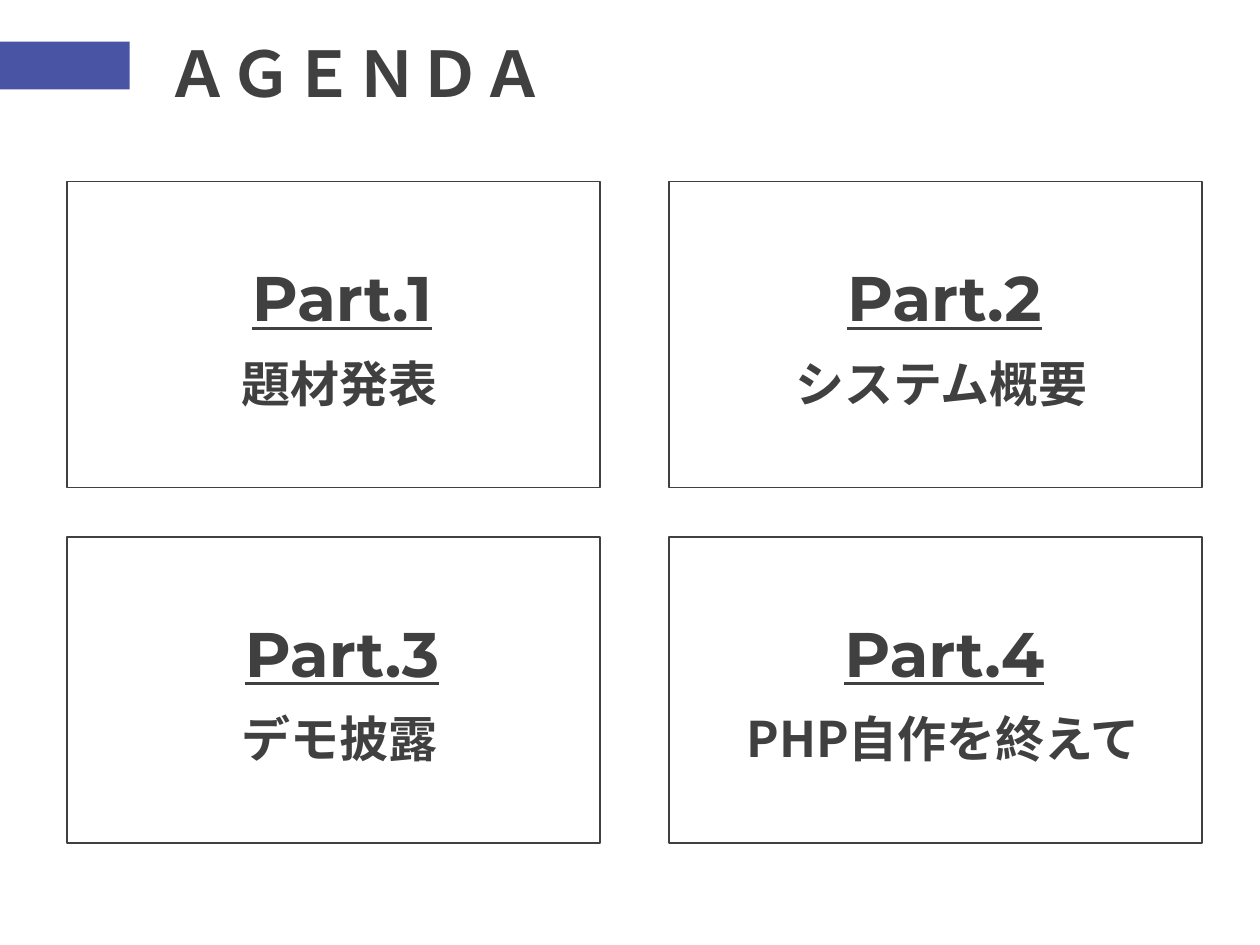
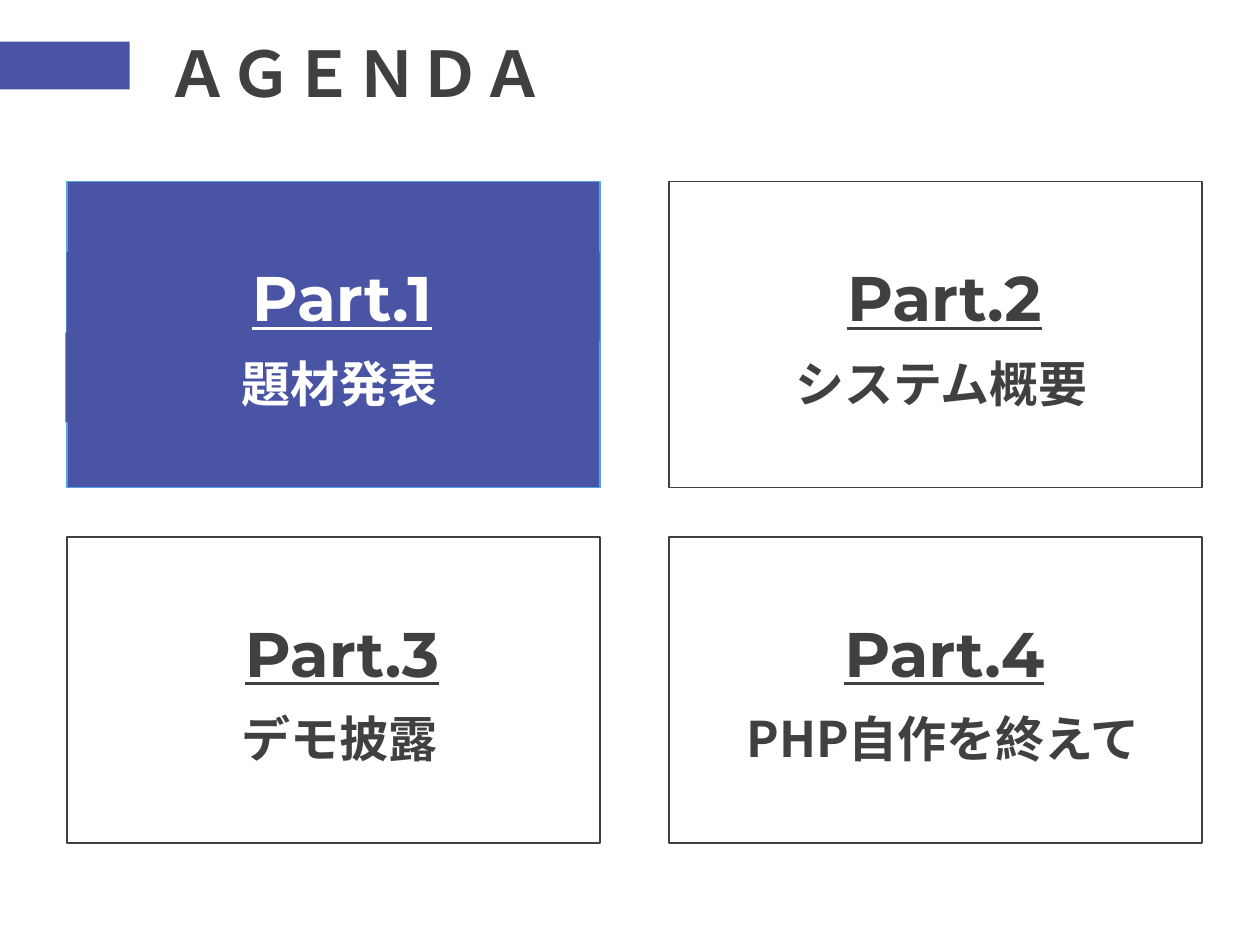
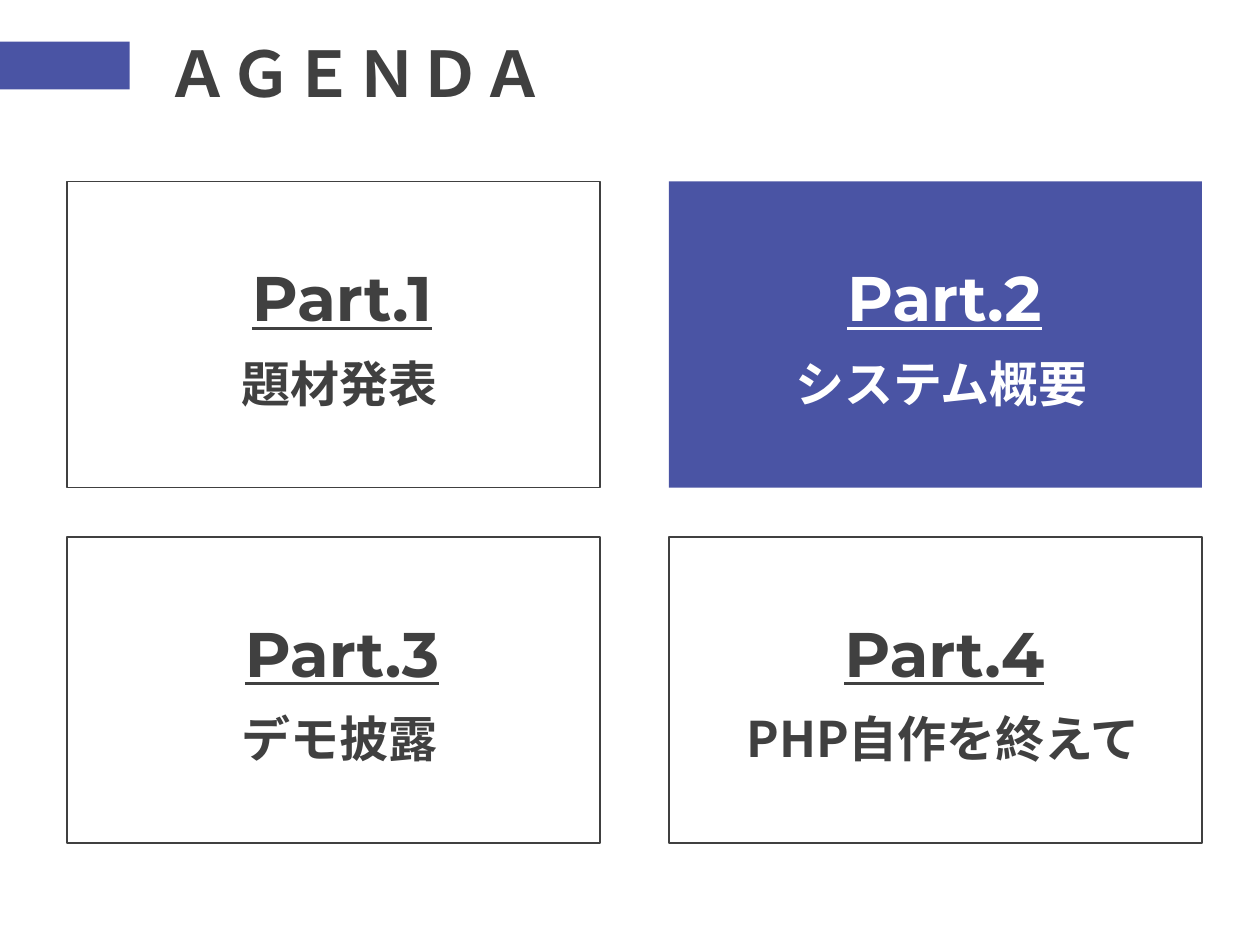
import dataclasses
import typing

import pptx
import pptx.dml.color
import pptx.enum.shapes
import pptx.enum.text
import pptx.oxml.ns
import pptx.shapes.autoshape
import pptx.shapes.group
import pptx.slide
import pptx.text.text
import pptx.util
from lxml import etree

RGBColor = pptx.dml.color.RGBColor
INDIGO = RGBColor(0x4A, 0x54, 0xA4)
SKY = RGBColor(0x52, 0xA4, 0xE8)
CHARCOAL = RGBColor(0x40, 0x40, 0x40)
WHITE = RGBColor(0xFF, 0xFF, 0xFF)

LATIN_FONT = "Montserrat"
JAPANESE_FONT = "Noto Sans CJK JP"
LARGE = pptx.util.Pt(36)
SMALL = pptx.util.Pt(28)

COLUMNS = 2
GRID_LEFT, GRID_TOP = 0.53, 1.44
COLUMN_STEP, ROW_STEP = 4.78, 2.82
CARD_WIDTH, CARD_HEIGHT = 4.23, 2.43
LABEL_HEIGHT = 0.71
NUMBER_DROP, TOPIC_DROP = 0.56, 1.2
TOPIC_SHIFT = -0.01

TITLE = "ＡＧＥＮＤＡ"
TOPICS = ["題材発表", "システム概要", "デモ披露", "PHP自作を終えて"]


class Area(typing.NamedTuple):
    left: float
    top: float
    width: float
    height: float

    def lengths(self) -> list[pptx.util.Inches]:
        return [pptx.util.Inches(value) for value in self]


@dataclasses.dataclass(frozen=True)
class CardStyle:
    ink: RGBColor
    fill: RGBColor | None = None
    line: RGBColor | None = None
    label_fill: RGBColor | None = None


PLAIN = CardStyle(ink=CHARCOAL, line=CHARCOAL)
OUTLINED_ACTIVE = CardStyle(ink=WHITE, fill=INDIGO, line=SKY, label_fill=INDIGO)
ACTIVE = CardStyle(ink=WHITE, fill=INDIGO)

AGENDA_PAGES: list[dict[int, CardStyle]] = [{}, {0: OUTLINED_ACTIVE}, {1: ACTIVE}]

BAND_AREA = Area(-0.03, 0.33, 1.06, 0.38)
TITLE_AREA = Area(1.22, 0.22, 3.33, LABEL_HEIGHT)


def set_east_asian_font(properties: etree._Element) -> None:
    font = etree.SubElement(properties, pptx.oxml.ns.qn("a:ea"))
    font.set("typeface", JAPANESE_FONT)


def add_rectangle(
    shapes: typing.Any, area: Area, fill: RGBColor | None, line: RGBColor | None = None
) -> pptx.shapes.autoshape.Shape:
    box = shapes.add_shape(pptx.enum.shapes.MSO_SHAPE.RECTANGLE, *area.lengths())
    box.shadow.inherit = False
    if fill is None:
        box.fill.background()
    else:
        box.fill.solid()
        box.fill.fore_color.rgb = fill
    if line is None:
        box.line.fill.background()
    else:
        box.line.color.rgb = line
        box.line.width = pptx.util.Pt(1)
    return box


def format_frame(
    frame: pptx.text.text.TextFrame, alignment: pptx.enum.text.PP_ALIGN, ink: RGBColor
) -> pptx.text.text._Paragraph:
    frame.word_wrap = True
    frame.auto_size = pptx.enum.text.MSO_AUTO_SIZE.SHAPE_TO_FIT_TEXT
    frame.vertical_anchor = pptx.enum.text.MSO_ANCHOR.MIDDLE
    para = frame.paragraphs[0]
    para.alignment = alignment
    para.font.bold = True
    para.font.color.rgb = ink
    return para


def add_label(
    group: pptx.shapes.group.GroupShape, area: Area, text: str, style: CardStyle, is_number: bool
) -> None:
    if style.label_fill is None:
        box = group.shapes.add_textbox(*area.lengths())
    else:
        box = add_rectangle(group.shapes, area, style.label_fill)
    para = format_frame(box.text_frame, pptx.enum.text.PP_ALIGN.CENTER, style.ink)
    lead, span = para.add_run(), para.add_run()
    lead.text, span.text = " ", text
    if is_number:
        para.font.size = LARGE
        para.font.name = LATIN_FONT
        span.font.underline = True
    else:
        lead.font.size, lead.font.name = LARGE, LATIN_FONT
        span.font.size, span.font.name = SMALL, JAPANESE_FONT
        set_east_asian_font(span._r.get_or_add_rPr())


def add_card(page: pptx.slide.Slide, index: int, topic: str, style: CardStyle) -> None:
    row, column = divmod(index, COLUMNS)
    left = GRID_LEFT + column * COLUMN_STEP
    top = GRID_TOP + row * ROW_STEP
    group = page.shapes.add_group_shape()
    add_rectangle(group.shapes, Area(left, top, CARD_WIDTH, CARD_HEIGHT), style.fill, style.line)
    topic_area = Area(left + TOPIC_SHIFT, top + TOPIC_DROP, CARD_WIDTH, LABEL_HEIGHT)
    number_area = Area(left, top + NUMBER_DROP, CARD_WIDTH, LABEL_HEIGHT)
    add_label(group, topic_area, topic, style, is_number=False)
    add_label(group, number_area, f"Part.{index + 1}", style, is_number=True)


def add_heading(page: pptx.slide.Slide) -> None:
    add_rectangle(page.shapes, BAND_AREA, INDIGO)
    title = page.shapes.title
    title.left, title.top, title.width, title.height = TITLE_AREA.lengths()
    title.text_frame.text = TITLE
    para = format_frame(title.text_frame, pptx.enum.text.PP_ALIGN.LEFT, CHARCOAL)
    para.font.size = LARGE
    para.font.name = JAPANESE_FONT
    set_east_asian_font(para._p.pPr.find(pptx.oxml.ns.qn("a:defRPr")))


def main() -> None:
    deck = pptx.Presentation()
    deck.slide_width, deck.slide_height = pptx.util.Inches(10), pptx.util.Inches(7.5)
    title_only = deck.slide_layouts.get_by_name("Title Only")
    for highlights in AGENDA_PAGES:
        page = deck.slides.add_slide(title_only)
        add_heading(page)
        for index, topic in enumerate(TOPICS):
            add_card(page, index, topic, highlights.get(index, PLAIN))
    deck.save("out.pptx")


if __name__ == "__main__":
    main()
